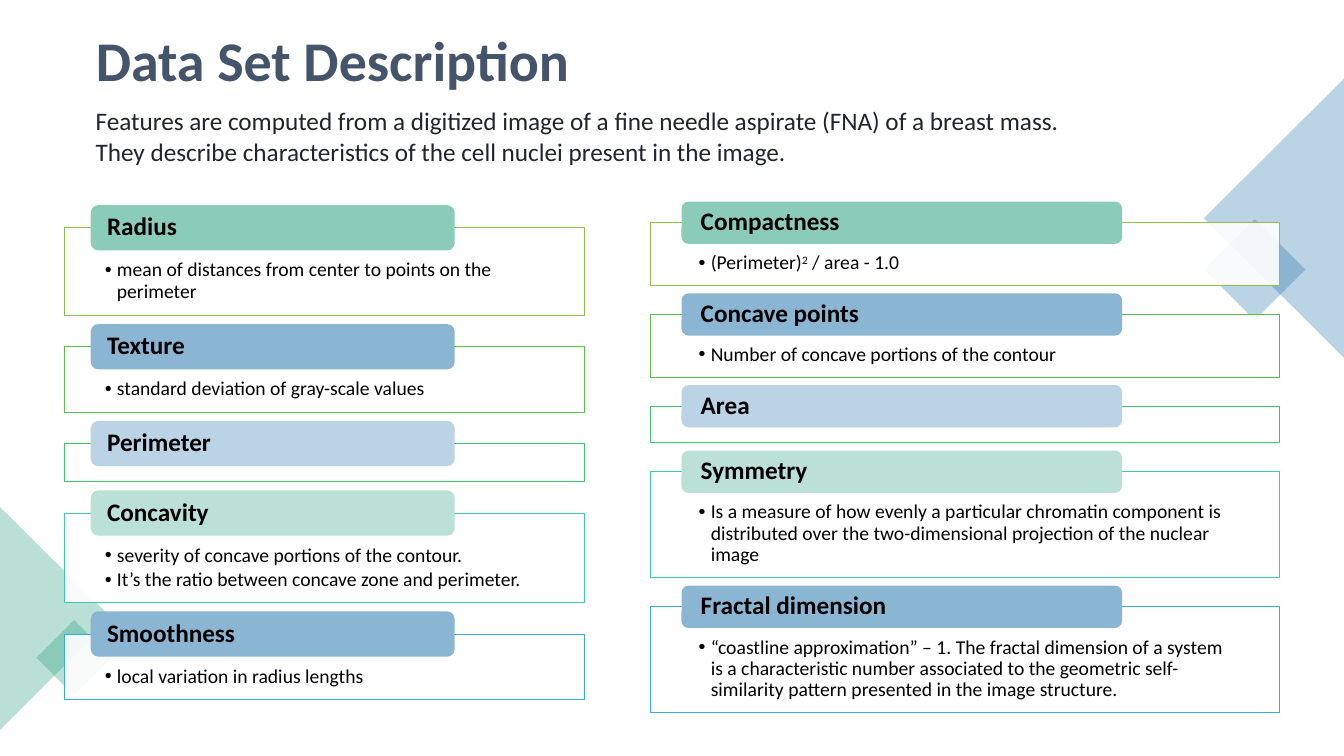
from dataclasses import dataclass

from lxml.etree import SubElement
from pptx import Presentation
from pptx.dml.color import RGBColor as RGB
from pptx.enum.shapes import MSO_SHAPE as Kind
from pptx.enum.text import MSO_ANCHOR as Anchor, MSO_AUTO_SIZE as Fit, PP_ALIGN as Align
from pptx.oxml.ns import qn
from pptx.util import Inches, Pt


@dataclass(frozen=True)
class Theme:
    face: str = "Calibri"
    title: str = "44546A"
    intro: str = "212529"
    ink: str = "000000"
    white: str = "FFFFFF"
    blue: str = "1D6FA9"
    green: str = "1D9A78"
    tabs: tuple = ("8BCCB9", "8BB6D3", "BBD4E5", "BBE1D6", "8BB6D3")
    edges: tuple = ("8BC145", "51C441", "3EC76A", "3ACBA8", "36AFCE")
    big: int = 40
    mid: int = 18
    small: int = 14


@dataclass(frozen=True)
class Column:
    left: float
    top: float
    width: float
    gap: float
    tab_left: float
    tab_width: float
    tab_height: float
    tab_pad: float
    pads: tuple


class Deck:
    def __init__(self, theme):
        self.theme = theme
        self.file = Presentation()
        self.file.slide_width, self.file.slide_height = Inches(13.33), Inches(7.5)
        self.slide = self.file.slides.add_slide(self.file.slide_layouts[5])

    def style(self, para, size, color, bold=False):
        font = para.font
        font.name, font.size, font.bold = self.theme.face, Pt(size), bold
        font.color.rgb = RGB.from_string(color)

    def title(self, text, *area):
        shape = self.slide.shapes.title
        shape.left, shape.top, shape.width, shape.height = map(Inches, area)
        frame = shape.text_frame
        frame.text, frame.auto_size = text, Fit.NONE
        frame.vertical_anchor = Anchor.MIDDLE
        para = frame.paragraphs[0]
        para.alignment, para.line_spacing = Align.LEFT, 0.9
        self.style(para, self.theme.big, self.theme.title, True)

    def intro(self, lines, *area):
        frame = self.slide.shapes.add_textbox(*map(Inches, area)).text_frame
        frame.word_wrap = True
        frame.text = "\n".join(lines)
        for para in frame.paragraphs:
            self.style(para, self.theme.mid, self.theme.intro)

    def shape(self, kind, area, fill, alpha=100, edge=None, turn=0):
        """Add a filled shape; alpha is its opacity in percent."""
        shape = self.slide.shapes.add_shape(kind, *map(Inches, area))
        shape.shadow.inherit = False
        shape.rotation = turn
        shape.fill.solid()
        shape.fill.fore_color.rgb = RGB.from_string(fill)
        if alpha < 100:
            color = shape.fill._xPr.find(".//" + qn("a:srgbClr"))
            SubElement(color, qn("a:alpha"), val=str(alpha * 1000))
        if edge:
            shape.line.color.rgb = RGB.from_string(edge)
            shape.line.width = Pt(0.5)
        else:
            shape.line.fill.background()
        return shape

    def frame(self, shape, pads, anchor):
        frame = shape.text_frame
        frame.word_wrap, frame.vertical_anchor = True, anchor
        (frame.margin_left, frame.margin_top,
         frame.margin_right, frame.margin_bottom) = map(Inches, pads)
        return frame

    def bullet(self, para, text):
        """Fill a bulleted paragraph; text between carets is raised."""
        para.level, para.alignment = 1, Align.LEFT
        para.line_spacing, para.space_after = 0.9, Pt(2.5)
        props = para._p.get_or_add_pPr()
        props.set("marL", str(Inches(0.12)))
        props.set("indent", str(Inches(-0.12)))
        SubElement(props, qn("a:buFont"), typeface="Arial")
        SubElement(props, qn("a:buChar"), char="•")
        self.style(para, self.theme.small, self.theme.ink)
        for i, part in enumerate(text.split("^")):
            run = para.add_run()
            run.text = part
            if i % 2:
                run.font._element.set("baseline", "30000")

    def card(self, col, top, height, name, notes, tint, edge):
        box = self.shape(Kind.RECTANGLE, (col.left, top, col.width, height),
                         self.theme.white, 90, edge)
        if notes:
            frame = self.frame(box, col.pads, Anchor.TOP)
            for i, note in enumerate(notes):
                self.bullet(frame.add_paragraph() if i else frame.paragraphs[0], note)
        tab = self.shape(Kind.ROUNDED_RECTANGLE,
                         (col.tab_left, top - col.tab_height / 2,
                          col.tab_width, col.tab_height), tint)
        frame = self.frame(tab, (col.tab_pad, 0, col.tab_pad, 0), Anchor.MIDDLE)
        frame.text = name
        para = frame.paragraphs[0]
        para.alignment, para.line_spacing = Align.LEFT, 0.9
        self.style(para, self.theme.mid, self.theme.ink, True)

    def stack(self, col, cards):
        top = col.top
        for (name, height, *notes), tint, edge in zip(cards, self.theme.tabs, self.theme.edges):
            self.card(col, top, height, name, notes, tint, edge)
            top += height + col.gap


LEFT = Column(0.64, 2.26, 5.16, 0.31, 0.9, 3.61, 0.45, 0.14, (0.4, 0.32, 0.4, 0.11))
RIGHT = Column(6.45, 2.21, 6.24, 0.29, 6.76, 4.37, 0.42, 0.17, (0.48, 0.3, 0.48, 0.11))

SHAPE_CARDS = [
    ("Radius", 0.87, "mean of distances from center to points on the perimeter"),
    ("Texture", 0.65, "standard deviation of gray-scale values"),
    ("Perimeter", 0.38),
    ("Concavity", 0.89, "severity of concave portions of the contour.",
     "It’s the ratio between concave zone and perimeter."),
    ("Smoothness", 0.65, "local variation in radius lengths"),
]
FORM_CARDS = [
    ("Compactness", 0.62, "(Perimeter)^2^ / area - 1.0"),
    ("Concave points", 0.62, "Number of concave portions of the contour"),
    ("Area", 0.36),
    ("Symmetry", 1.05, "Is a measure of how evenly a particular chromatin component is "
     "distributed over the two-dimensional projection of the nuclear image"),
    ("Fractal dimension", 1.05, "“coastline approximation” – 1. The fractal dimension of a "
     "system is a characteristic number associated to the geometric self-similarity "
     "pattern presented in the image structure."),
]


def main():
    theme = Theme()
    deck = Deck(theme)
    deck.title("Data Set Description", 0.85, 0.01, 11.93, 1.24)
    for kind, area, color, turn in (
        (Kind.RECTANGLE, (12.09, 2.32, 0.71, 0.71), theme.blue, 45),
        (Kind.ISOSCELES_TRIANGLE, (11.25, 1.47, 2.77, 1.39), theme.blue, 270),
        (Kind.ISOSCELES_TRIANGLE, (-0.55, 5.58, 2.21, 1.11), theme.green, 90),
        (Kind.RECTANGLE, (0.47, 6.26, 0.53, 0.53), theme.green, 45),
    ):
        deck.shape(kind, area, color, 30, turn=turn)
    deck.stack(LEFT, SHAPE_CARDS)
    deck.stack(RIGHT, FORM_CARDS)
    deck.intro(
        ["Features are computed from a digitized image of a fine needle aspirate (FNA) "
         "of a breast mass.",
         "They describe characteristics of the cell nuclei present in the image."],
        0.85, 1, 10.35, 1.01)
    deck.file.save("out.pptx")


if __name__ == "__main__":
    main()
